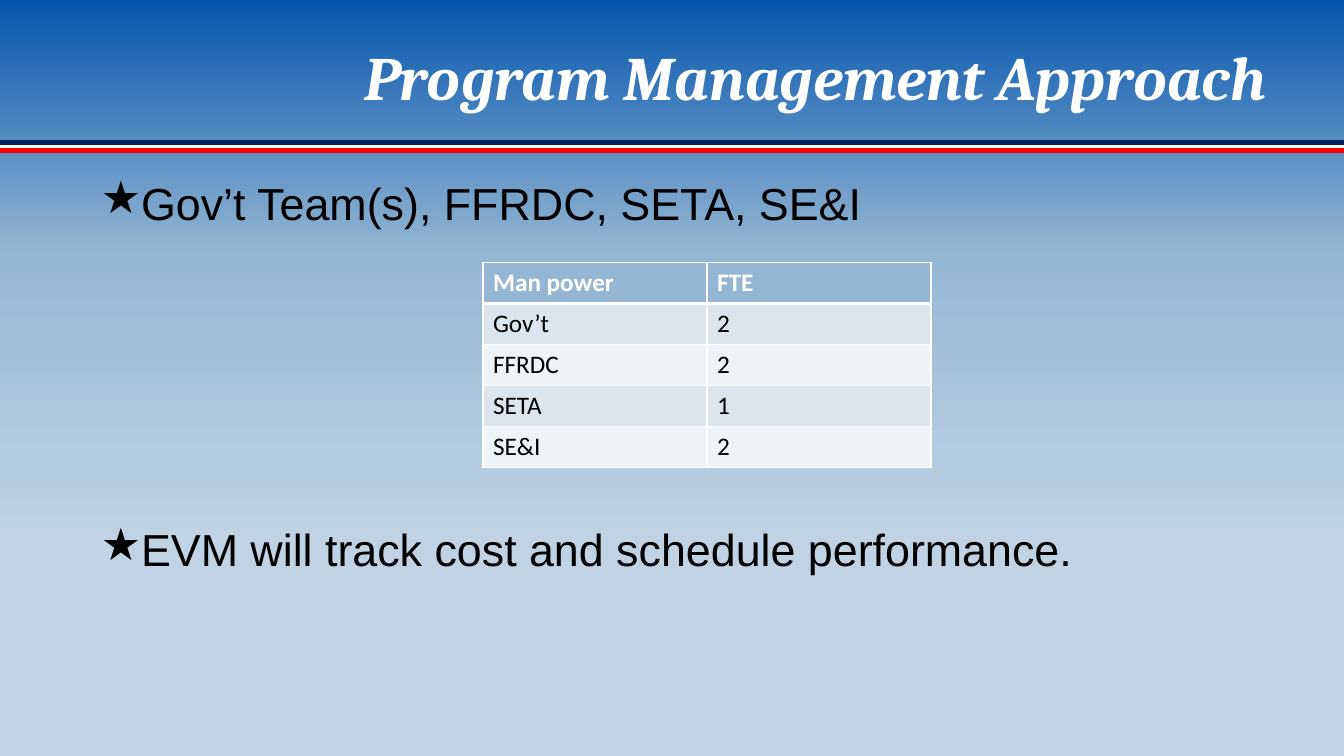
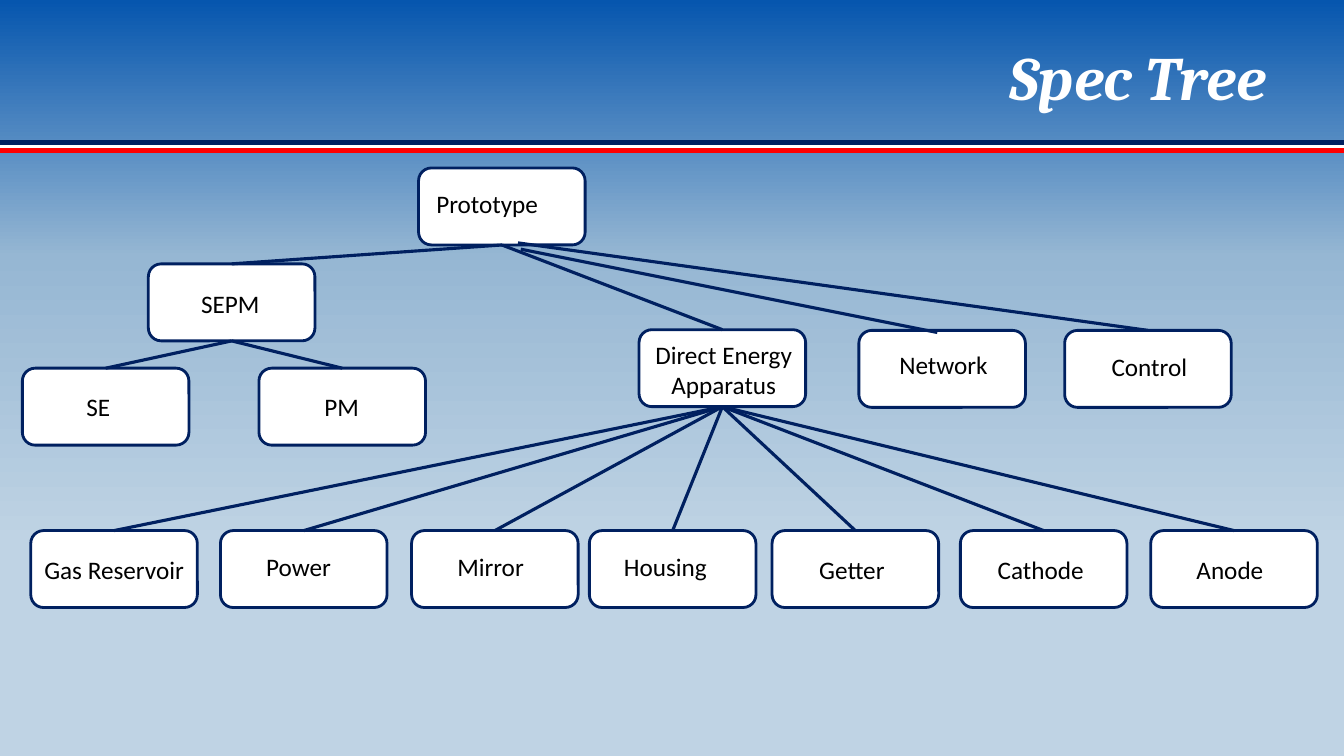
import copy

import lxml.etree
import pptx
import pptx.dml.color
import pptx.enum.shapes
import pptx.enum.text
import pptx.oxml.ns
import pptx.util

Pt = pptx.util.Pt
qn = pptx.oxml.ns.qn
Sub = lxml.etree.SubElement
Align = pptx.enum.text.PP_ALIGN
Hue = pptx.dml.color.RGBColor.from_string

HUES = {
    "navy": "002060", "white": "FFFFFF", "red": "FF0000", "black": "000000",
    "deep": "0656AE", "mid": "96B7D3", "pale": "BFD3E4",
    "head": "94B6D2", "odd": "DCE5EE", "even": "EEF3F7",
}
WIDE, HIGH = 960, 540


def text(frame, words, font="Calibri", size=18, hue="black", bold=False,
         slant=False, align=Align.LEFT, pad=(7.2, 3.6, 7.2, 3.6)):
    """Fill a frame with one paragraph per line; pad is left, top, right, bottom."""
    frame.word_wrap = True
    frame.vertical_anchor = pptx.enum.text.MSO_ANCHOR.TOP
    frame.margin_left, frame.margin_top, frame.margin_right, frame.margin_bottom = map(Pt, pad)
    frame.text = words
    for para in frame.paragraphs:
        para.alignment = align
        face = para.runs[0].font
        face.name, face.size, face.bold, face.italic = font, Pt(size), bold, slant
        face.color.rgb = Hue(HUES[hue])


def line(slide, start, end, hue="navy", width=2.25):
    link = slide.shapes.add_connector(
        pptx.enum.shapes.MSO_CONNECTOR.STRAIGHT, *map(Pt, start + end))
    link.line.color.rgb = Hue(HUES[hue])
    link.line.width = Pt(width)
    Sub(link.element.spPr, qn("a:effectLst"))
    return link


deck = pptx.Presentation()
deck.slide_width, deck.slide_height = Pt(WIDE), Pt(HIGH)

# Shared background
master = deck.slide_master
fill = master.background.fill
fill.gradient()
fill.gradient_angle = 270
stops = master.element.cSld.find(".//" + qn("a:gsLst"))
stops.append(copy.deepcopy(stops[-1]))
for stop, (place, hue) in zip(fill.gradient_stops,
                              ((0, "deep"), (0.34, "mid"), (0.72, "pale"))):
    stop.position = place
    stop.color.rgb = Hue(HUES[hue])

# Shared stripes and titles
pages = []
for title in ("Program Management Approach", "Spec Tree"):
    page = deck.slides.add_slide(deck.slide_layouts[6])
    for y, hue, width in ((102, "navy", 3.5), (105, "white", 2.5), (107.5, "red", 3.5)):
        line(page, (0, y), (WIDE, y), hue, width)
    box = page.shapes.add_textbox(Pt(120), Pt(24), Pt(792), Pt(90))
    text(box.text_frame, title, font="Cambria", size=44, hue="white",
         bold=True, slant=True, align=Align.RIGHT)
    pages.append(page)
staff, tree = pages

# Staffing bullets
box = staff.shapes.add_textbox(Pt(65), Pt(126), Pt(799), Pt(358))
text(box.text_frame, "Gov’t Team(s), FFRDC, SETA, SE&I\n"
     "EVM will track cost and schedule performance.", font="Arial", size=32)
for para, gap in zip(box.text_frame.paragraphs, (0, 213)):
    para.line_spacing = 0.9
    para.space_before = Pt(gap)
    props = para._p.get_or_add_pPr()
    props.set("marL", str(Pt(27)))
    props.set("indent", str(-Pt(27)))
    Sub(props, qn("a:buChar")).set("char", "★")

# Staffing table
rows = (("Man power", "FTE"), ("Gov’t", "2"), ("FFRDC", "2"), ("SETA", "1"), ("SE&I", "2"))
grid = staff.shapes.add_table(len(rows), 2, Pt(345), Pt(187.5), Pt(320), Pt(146.5)).table
for r, row in enumerate(rows):
    grid.rows[r].height = Pt(29.3)
    for c, words in enumerate(row):
        cell = grid.cell(r, c)
        top = r == 0
        text(cell.text_frame, words, hue="white" if top else "black", bold=top)
        cell.fill.solid()
        cell.fill.fore_color.rgb = Hue(HUES["head" if top else "odd" if r % 2 else "even"])
        props = cell._tc.get_or_add_tcPr()
        widths = {"L": 1, "R": 1, "T": 3 if r == 1 else 1, "B": 3 if top else 1}
        for i, (side, width) in enumerate(widths.items()):
            edge = Sub(props, qn("a:ln" + side))
            edge.set("w", str(Pt(width)))
            Sub(Sub(edge, qn("a:solidFill")), qn("a:srgbClr")).set("val", HUES["white"])
            props.insert(i, edge)

# Tree boxes: name, left, top, label inset from left (None is centred) and from top
nodes = (
    ("Prototype", 299, 120, 10, 12),
    ("SEPM", 106, 188.5, 35, 15),
    ("SE", 16, 263, 43, 14),
    ("PM", 185, 263, 44, 14),
    ("Direct Energy Apparatus", 456.5, 235.5, None, 4),
    ("Network", 613.5, 236, None, 11),
    ("Control", 760.5, 236, None, 12),
    ("Gas Reservoir", 22, 379, 7, 14),
    ("Power", 157.5, 379, 30, 12),
    ("Mirror", 294, 379, 30, 12),
    ("Housing", 421, 379, 22, 12),
    ("Getter", 551.5, 379, 31, 14),
    ("Cathode", 686, 379, 24, 14),
    ("Anode", 822, 379, 30, 14),
)
boxes = {}
for name, x, y, inset, drop in nodes:
    box = tree.shapes.add_shape(pptx.enum.shapes.MSO_SHAPE.ROUNDED_RECTANGLE,
                                Pt(x), Pt(y), Pt(119), Pt(55))
    box.shadow.inherit = False
    box.fill.solid()
    box.fill.fore_color.rgb = Hue(HUES["white"])
    box.line.color.rgb = Hue(HUES["navy"])
    box.line.width = Pt(2)
    text(box.text_frame, name, align=Align.CENTER if inset is None else Align.LEFT,
         pad=(inset or 2, drop, 0, 0))
    boxes[name] = box

# Tree links
links = {
    "Prototype": ("SEPM", "Direct Energy Apparatus"),
    "SEPM": ("SE", "PM"),
    "Direct Energy Apparatus": [node[0] for node in nodes[7:]],
}
for parent, kids in links.items():
    for kid in kids:
        link = line(tree, (0, 0), (0, 0))
        link.begin_connect(boxes[parent], 2)
        link.end_connect(boxes[kid], 0)
line(tree, (372, 178), (669.5, 237.5))
line(tree, (370, 173.5), (820, 236))

deck.save("out.pptx")
